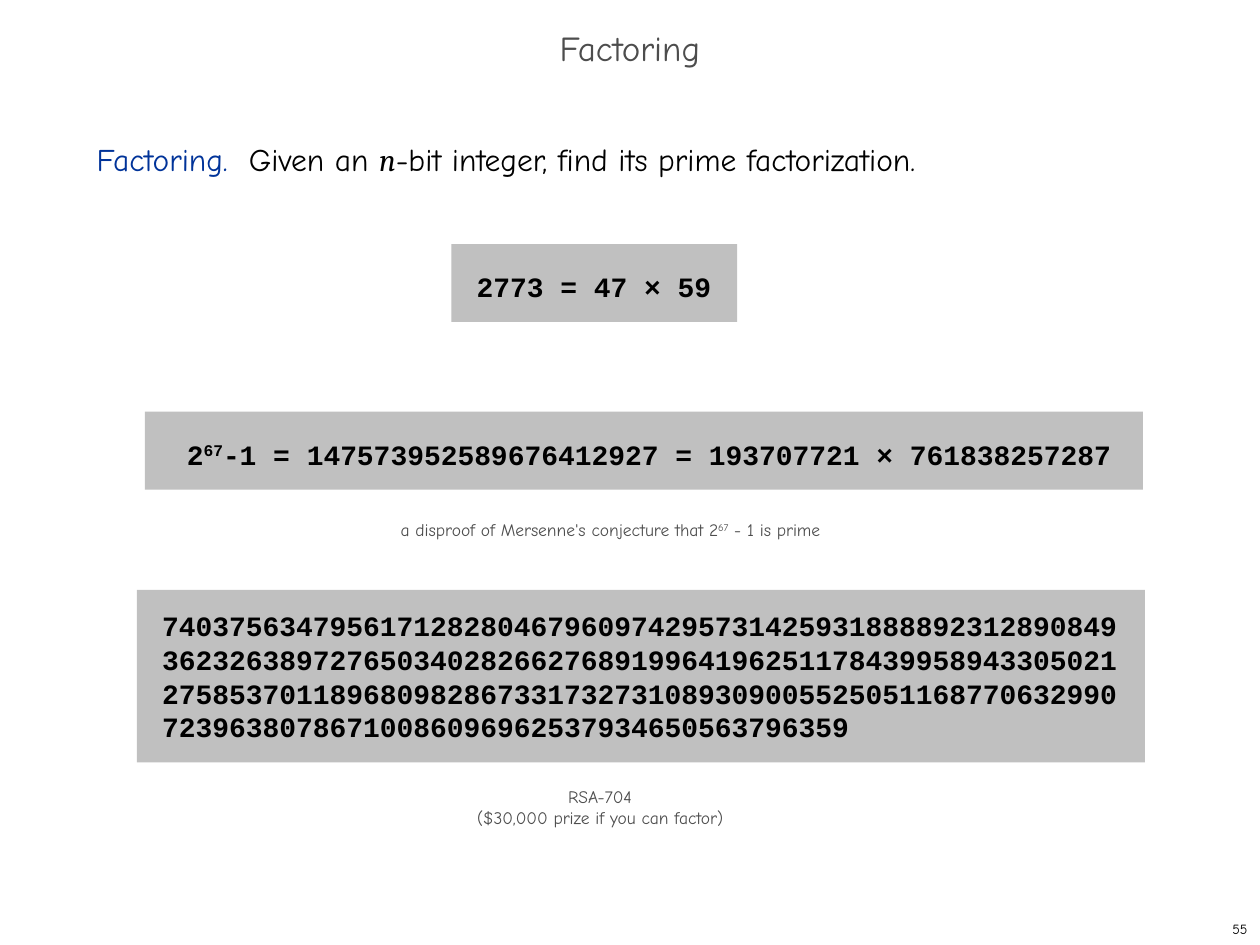
from pptx import Presentation
from pptx.dml.color import RGBColor
from pptx.enum.shapes import MSO_SHAPE
from pptx.enum.text import MSO_ANCHOR, MSO_AUTO_SIZE, PP_ALIGN
from pptx.util import Cm, Pt

RECTANGLE = MSO_SHAPE.RECTANGLE
TOP, MIDDLE = MSO_ANCHOR.TOP, MSO_ANCHOR.MIDDLE
LEFT, CENTER, RIGHT = PP_ALIGN.LEFT, PP_ALIGN.CENTER, PP_ALIGN.RIGHT
GROW, FIXED = MSO_AUTO_SIZE.SHAPE_TO_FIT_TEXT, MSO_AUTO_SIZE.NONE

BLACK = RGBColor(0x00, 0x00, 0x00)
GRAY = RGBColor(0x4D, 0x4D, 0x4D)
SILVER = RGBColor(0xC0, 0xC0, 0xC0)
BLUE = RGBColor(0x00, 0x33, 0x99)

BODY_FONT, MATH_FONT, CODE_FONT = "Comic Neue", "Cambria", "Courier New"

RSA_NUMBER = (
    "740375634795617128280467960974295731425931888892312890849\n"
    "362326389727650340282662768919964196251178439958943305021\n"
    "275853701189680982867331732731089309005525051168770632990\n"
    "72396380786710086096962537934650563796359"
)


def add_run(p, text, size=18, font=BODY_FONT, color=BLACK, bold=False,
            italic=False, superscript=False):
    """Add text to a paragraph; a newline becomes a line break."""
    for i, line in enumerate(text.split("\n")):
        if i:
            p.add_line_break()
        r = p.add_run()
        r.text = line
        r.font.size = Pt(size)
        r.font.name = font
        r.font.color.rgb = color
        r.font.bold = bold
        r.font.italic = italic
        if superscript:
            r.font._element.set("baseline", "30000")


def set_frame(sp, inset_x=0.25, inset_y=0.13, anchor=TOP, wrap=False,
              auto_size=FIXED, align=LEFT, spacing=None):
    """Format a text frame and return its first paragraph."""
    tf = sp.text_frame
    tf.margin_left = tf.margin_right = Cm(inset_x)
    tf.margin_top = tf.margin_bottom = Cm(inset_y)
    tf.vertical_anchor = anchor
    tf.word_wrap = wrap
    tf.auto_size = auto_size
    p = tf.paragraphs[0]
    p.alignment = align
    p.line_spacing = spacing
    return p


def add_text(s, left, top, width, height, **frame):
    sp = s.shapes.add_textbox(Cm(left), Cm(top), Cm(width), Cm(height))
    return set_frame(sp, **frame)


def add_caption(s, left, top, width, height, *parts):
    """Small centred note; every second part is a superscript."""
    p = add_text(s, left, top, width, height, align=CENTER, auto_size=GROW)
    for i, text in enumerate(parts):
        add_run(p, text, size=10, color=GRAY, superscript=i % 2 == 1)


def add_number_box(s, left, top, width, height, *parts, spacing=1.2):
    """Filled box of digits; every second part is a superscript."""
    sp = s.shapes.add_shape(RECTANGLE, Cm(left), Cm(top), Cm(width), Cm(height))
    sp.shadow.inherit = False
    sp.fill.solid()
    sp.fill.fore_color.rgb = SILVER
    sp.line.fill.background()
    p = set_frame(sp, inset_x=0.51, inset_y=0.38, anchor=MIDDLE,
                  auto_size=GROW, spacing=spacing)
    for i, text in enumerate(parts):
        add_run(p, text, size=16, font=CODE_FONT, bold=True,
                superscript=i % 2 == 1)


def main():
    prs = Presentation()
    prs.slide_width, prs.slide_height = Cm(25.4), Cm(19.05)
    s = prs.slides.add_slide(prs.slide_layouts[6])

    # Slide number and title
    p = add_text(s, 20.12, 18.42, 5.28, 0.63, anchor=MIDDLE, align=RIGHT)
    add_run(p, "55", size=8)
    p = add_text(s, 0, 0.43, 25.4, 1.27, anchor=MIDDLE, wrap=True,
                 align=CENTER, spacing=0.7)
    add_run(p, "Factoring", size=20, color=GRAY)

    # Problem statement
    p = add_text(s, 1.7, 2.54, 21.06, 15.04, wrap=True, spacing=Pt(26))
    add_run(p, "Factoring.  ", color=BLUE)
    add_run(p, "Given an ")
    add_run(p, "n", font=MATH_FONT, italic=True)
    add_run(p, "-bit integer, find its prime factorization.")

    # Example numbers
    add_number_box(s, 9.1, 4.92, 5.76, 1.57, "2773 = 47 × 59")
    add_number_box(s, 2.92, 8.3, 20.12, 1.57, " 2", "67",
                   "-1 = 147573952589676412927 = 193707721 × 761838257287")
    add_number_box(s, 2.76, 11.89, 20.32, 3.48, RSA_NUMBER, spacing=None)

    # Captions
    add_caption(s, 7.34, 10.34, 9.93, 0.69,
                "a disproof of Mersenne's conjecture that 2", "67",
                " - 1 is prime")
    add_caption(s, 9.1, 15.72, 5.99, 1.09,
                "RSA-704\n($30,000 prize if you can factor)")

    prs.save("out.pptx")


if __name__ == "__main__":
    main()
